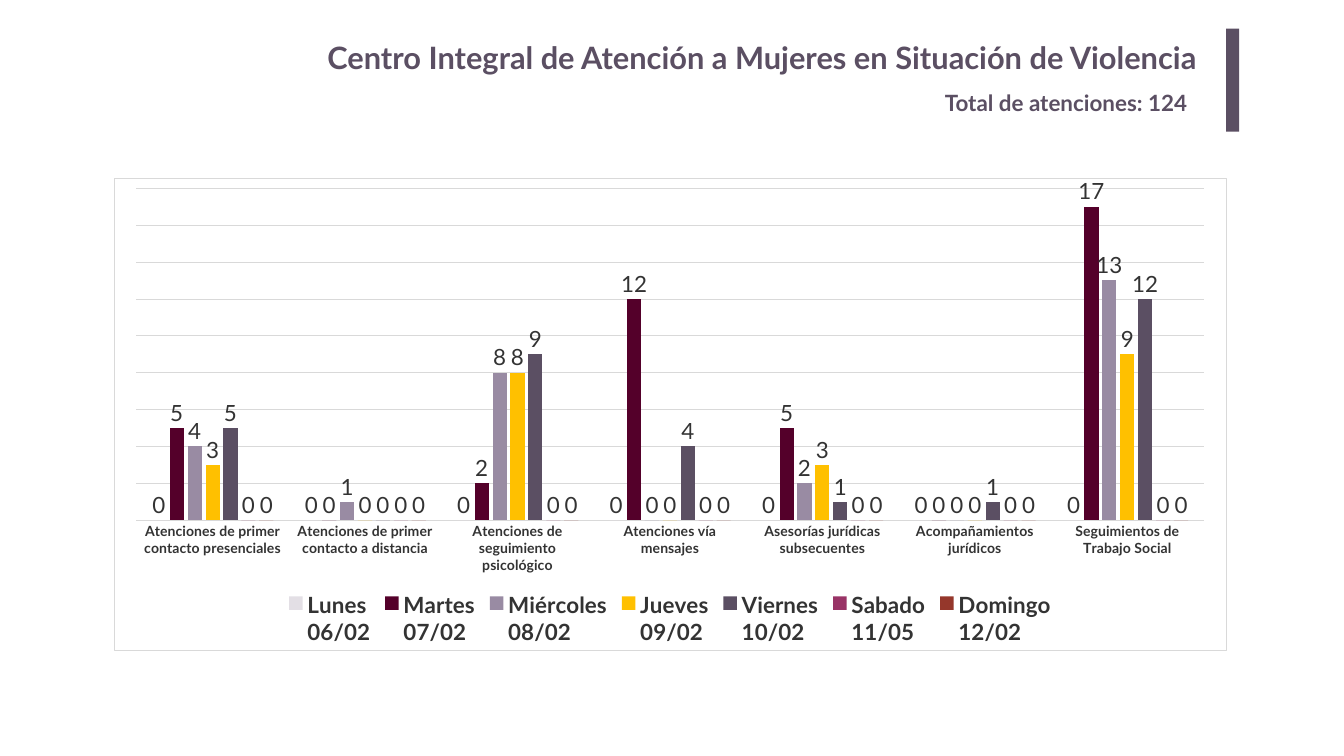
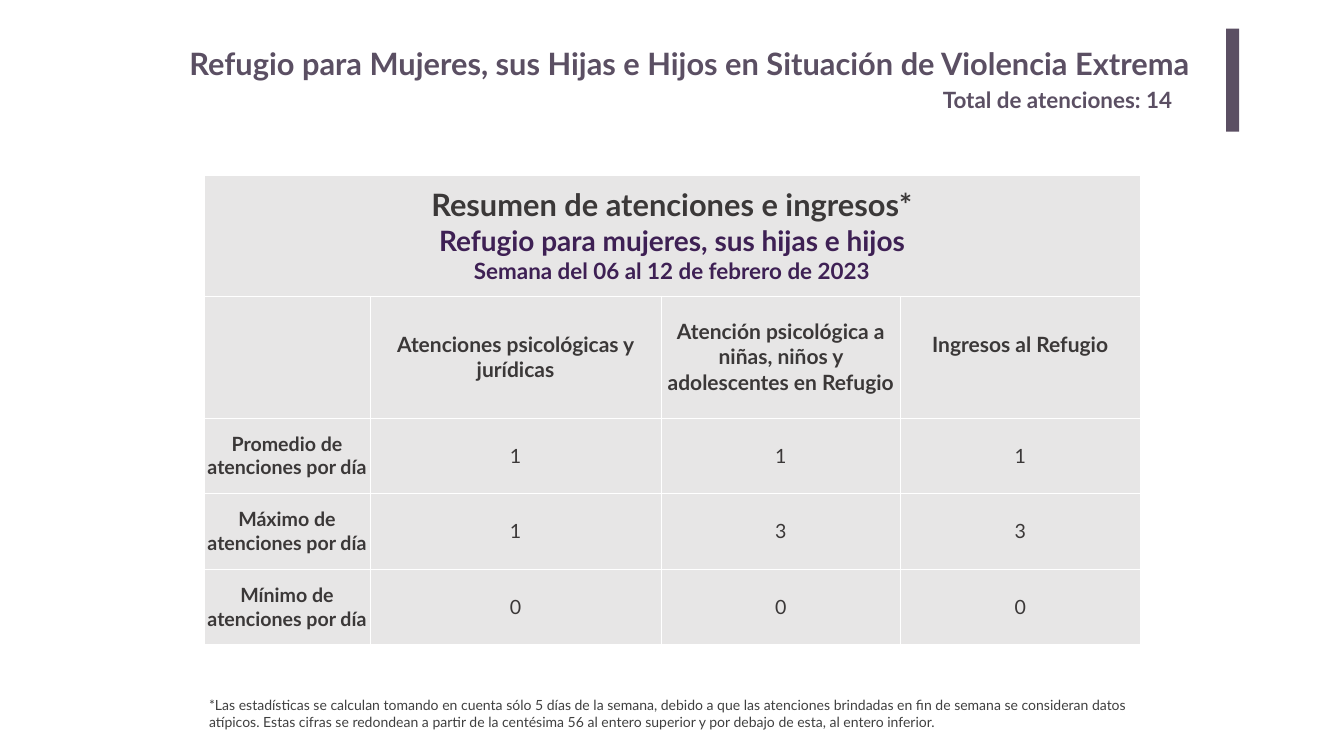
"""Build the weekly slides on care for women facing violence."""
from dataclasses import dataclass

from lxml.etree import SubElement
from pptx import Presentation
from pptx.chart.data import CategoryChartData
from pptx.dml.color import RGBColor
from pptx.enum.chart import XL_CHART_TYPE, XL_LABEL_POSITION, XL_LEGEND_POSITION, XL_TICK_MARK
from pptx.enum.shapes import MSO_SHAPE
from pptx.enum.text import MSO_ANCHOR, MSO_AUTO_SIZE, PP_ALIGN
from pptx.oxml import parse_xml
from pptx.oxml.ns import nsdecls, qn
from pptx.util import Inches, Pt

FONT = "Lato"
WHITE, PLUM, VIOLET = "FFFFFF", "5B4F63", "3E2054"
CHARCOAL, INK, NOTE_GREY = "3B3838", "333333", "404040"
RULE_GREY, CELL_GREY = "D9D9D9", "E7E6E6"


@dataclass(frozen=True)
class Box:
    left: float
    top: float
    width: float
    height: float

    def lengths(self) -> tuple:
        return tuple(Inches(v) for v in (self.left, self.top, self.width, self.height))


@dataclass(frozen=True)
class Line:
    text: str
    size: int
    color: str = CHARCOAL
    bold: bool = True


@dataclass(frozen=True)
class Day:
    name: str
    counts: tuple
    color: str


SERVICES = (
    "Atenciones de primer contacto presenciales",
    "Atenciones de primer contacto a distancia",
    "Atenciones de seguimiento psicológico",
    "Atenciones vía mensajes",
    "Asesorías jurídicas subsecuentes",
    "Acompañamientos jurídicos",
    "Seguimientos de Trabajo Social",
)
DAYS = (
    Day("Lunes\n06/02", (0, 0, 0, 0, 0, 0, 0), "E3DFE5"),
    Day("Martes\n07/02", (5, 0, 2, 12, 5, 0, 17), "54002A"),
    Day("Miércoles\n08/02", (4, 1, 8, 0, 2, 0, 13), "998BA3"),
    Day("Jueves\n09/02", (3, 0, 8, 0, 3, 0, 9), "FFC000"),
    Day("Viernes\n10/02", (5, 0, 9, 4, 1, 1, 12), PLUM),
    Day("Sabado\n11/05", (0, 0, 0, 0, 0, 0, 0), "993366"),
    Day("Domingo\n12/02", (0, 0, 0, 0, 0, 0, 0), "95372B"),
)
SUMMARY_HEADING = (
    Line("Resumen de atenciones e ingresos*", 44),
    Line("Refugio para mujeres, sus hijas e hijos", 40, VIOLET),
    Line("Semana del 06 al 12 de febrero de 2023", 32, VIOLET),
)
SUMMARY_COLUMNS = (
    "",
    "Atenciones psicológicas y jurídicas",
    "Atención psicológica a niñas, niños y adolescentes en Refugio",
    "Ingresos al Refugio",
)
SUMMARY_ROWS = (
    ("Promedio de atenciones por día", 1, 1, 1),
    ("Máximo de atenciones por día", 1, 3, 3),
    ("Mínimo de atenciones por día", 0, 0, 0),
)
FOOTNOTE = (
    "*Las estadísticas se calculan tomando en cuenta sólo 5 días de la semana, debido a que "
    "las atenciones brindadas en fin de semana se consideran datos atípicos. Estas cifras se "
    "redondean a partir de la centésima 56 al entero superior y por debajo de esta, al entero inferior."
)


def rgb(color: str) -> RGBColor:
    return RGBColor.from_string(color)


def style_font(font, size: int, color: str, bold: bool) -> None:
    font.name, font.size, font.bold = FONT, Pt(size), bold
    font.color.rgb = rgb(color)


def write_lines(frame, lines: tuple, align: PP_ALIGN) -> None:
    for index, line in enumerate(lines):
        paragraph = frame.add_paragraph() if index else frame.paragraphs[0]
        paragraph.text = line.text
        paragraph.alignment = align
        style_font(paragraph.font, line.size, line.color, line.bold)


def add_text(slide, box: Box, line: Line) -> None:
    frame = slide.shapes.add_textbox(*box.lengths()).text_frame
    frame.word_wrap = True
    write_lines(frame, (line,), PP_ALIGN.LEFT)


def add_headed_slide(deck, heading: str, heading_box: Box, align: PP_ALIGN,
                     margins: tuple, total: int, total_box: Box):
    slide = deck.slides.add_slide(deck.slide_layouts[5])
    title = slide.shapes.title
    title.left, title.top, title.width, title.height = heading_box.lengths()
    frame = title.text_frame
    frame.auto_size, frame.word_wrap = MSO_AUTO_SIZE.NONE, True
    frame.vertical_anchor = MSO_ANCHOR.TOP
    side, edge = margins
    frame.margin_left = frame.margin_right = Inches(side)
    frame.margin_top = frame.margin_bottom = Inches(edge)
    write_lines(frame, (Line(heading, 44, PLUM),), align)

    accent = slide.shapes.add_shape(MSO_SHAPE.RECTANGLE, *Box(24.33, 0.57, 0.26, 2.04).lengths())
    accent.shadow.inherit = False
    accent.fill.solid()
    accent.fill.fore_color.rgb = rgb(PLUM)
    accent.line.fill.background()
    add_text(slide, total_box, Line(f"Total de atenciones: {total}", 32, PLUM))
    return slide


def frame_chart(chart) -> None:
    chart_space = chart.element
    panel = parse_xml(
        f'<c:spPr {nsdecls("c", "a")}><a:solidFill><a:srgbClr val="{WHITE}"/></a:solidFill>'
        f'<a:ln w="9525"><a:solidFill><a:srgbClr val="{RULE_GREY}"/></a:solidFill></a:ln></c:spPr>'
    )
    chart_space.find(qn("c:chart")).addnext(panel)
    plot_area = chart_space.find(qn("c:chart")).find(qn("c:plotArea"))
    for layout in plot_area.findall(qn("c:layout")):
        plot_area.remove(layout)
    layout = parse_xml(f'<c:layout {nsdecls("c")}><c:manualLayout/></c:layout>')
    settings = {"layoutTarget": "inner", "xMode": "edge", "yMode": "edge",
                "x": 0.02, "y": 0.02, "w": 0.96, "h": 0.705}
    for tag, value in settings.items():
        SubElement(layout[0], qn(f"c:{tag}")).set("val", str(value))
    plot_area.insert(0, layout)


def add_services_chart(slide, box: Box) -> None:
    data = CategoryChartData(number_format="General")
    data.categories = SERVICES
    for day in DAYS:
        data.add_series(day.name, day.counts)
    chart = slide.shapes.add_chart(XL_CHART_TYPE.COLUMN_CLUSTERED, *box.lengths(), data).chart
    style_font(chart.font, 10, "000000", False)
    chart.has_title = False
    chart.has_legend = True
    chart.legend.position = XL_LEGEND_POSITION.BOTTOM
    chart.legend.include_in_layout = False
    style_font(chart.legend.font, 32, INK, True)

    services = chart.category_axis
    services.major_tick_mark = XL_TICK_MARK.NONE
    style_font(services.tick_labels.font, 20, INK, True)
    counts = chart.value_axis
    counts.visible = False
    counts.minimum_scale, counts.maximum_scale, counts.major_unit = 0, 18, 2
    counts.has_major_gridlines = True
    for rule in (services.format.line, counts.major_gridlines.format.line):
        rule.color.rgb = rgb(RULE_GREY)
        rule.width = Pt(0.75)

    plot = chart.plots[0]
    plot.gap_width, plot.overlap, plot.vary_by_categories = 219, -27, False
    for series, day in zip(plot.series, DAYS):
        series.format.fill.solid()
        series.format.fill.fore_color.rgb = rgb(day.color)
        labels = series.data_labels
        labels.show_value = True
        labels.position = XL_LABEL_POSITION.OUTSIDE_END
        style_font(labels.font, 32, INK, False)
    frame_chart(chart)


def fill_cell(cell, lines: tuple) -> None:
    properties = cell._tc.get_or_add_tcPr()
    for side in ("lnL", "lnR", "lnT", "lnB"):
        border = SubElement(properties, qn(f"a:{side}"), w=str(Pt(1)))
        color = SubElement(SubElement(border, qn("a:solidFill")), qn("a:srgbClr"))
        color.set("val", WHITE)
    cell.fill.solid()
    cell.fill.fore_color.rgb = rgb(CELL_GREY)
    cell.vertical_anchor = MSO_ANCHOR.MIDDLE
    cell.margin_left = cell.margin_right = cell.margin_top = cell.margin_bottom = 0
    write_lines(cell.text_frame, lines, PP_ALIGN.CENTER)


def add_summary_table(slide, box: Box) -> None:
    widths, heights = (3.29, 5.78, 4.75, 4.75), (2.4, 2.42, 1.5, 1.5, 1.5)
    table = slide.shapes.add_table(len(heights), len(widths), *box.lengths()).table
    for column, width in zip(table.columns, widths):
        column.width = Inches(width)
    for row, height in zip(table.rows, heights):
        row.height = Inches(height)

    grid = [[SUMMARY_HEADING] + [()] * (len(widths) - 1)]
    grid.append([(Line(text, 30),) for text in SUMMARY_COLUMNS])
    for label, *values in SUMMARY_ROWS:
        grid.append([(Line(label, 28),)] + [(Line(str(v), 28, bold=False),) for v in values])
    for r, row_lines in enumerate(grid):
        for c, lines in enumerate(row_lines):
            fill_cell(table.cell(r, c), lines)
    table.cell(0, 0).merge(table.cell(0, len(widths) - 1))
    table.cell(1, 3).margin_bottom = Inches(0.48)


def main() -> None:
    deck = Presentation()
    deck.slide_width, deck.slide_height = Inches(26.67), Inches(15)

    center = add_headed_slide(
        deck, "Centro Integral de Atención a Mujeres en Situación de Violencia",
        Box(3.66, 0.67, 20.3, 1.02), PP_ALIGN.RIGHT, (0.2, 0.1), 124, Box(18.65, 1.71, 5.31, 0.65))
    add_services_chart(center, Box(2.26, 3.53, 22.07, 9.37))

    shelter = add_headed_slide(
        deck, "Refugio para Mujeres, sus Hijas e Hijos en Situación de Violencia Extrema",
        Box(3.66, 0.84, 20.73, 0.84), PP_ALIGN.LEFT, (0.1, 0.05), 14, Box(18.61, 1.65, 5.35, 0.64))
    add_summary_table(shelter, Box(4.05, 3.47, 18.56, 9.32))
    add_text(shelter, Box(4.05, 13.77, 18.56, 0.77), Line(FOOTNOTE, 20, NOTE_GREY, False))

    deck.save("out.pptx")


if __name__ == "__main__":
    main()
